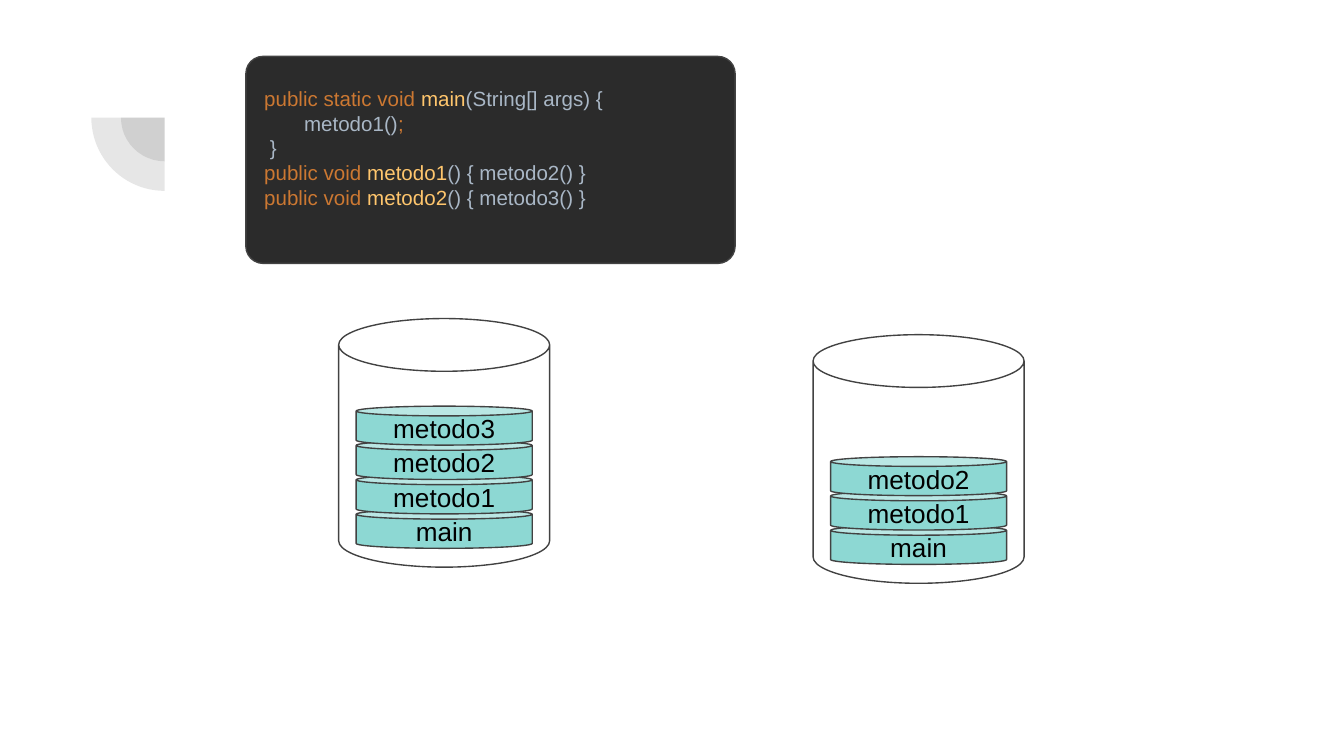
from lxml import etree
from pptx import Presentation
from pptx import util as u
from pptx.dml.color import RGBColor
from pptx.enum import shapes, text
from pptx.oxml.ns import qn

COLORS = {
    "line": "424242", "frame": "8DD8D3", "black": "000000", "editor": "2B2B2B",
    "keyword": "CC7832", "name": "FFC66D", "plain": "A9B7C6", "faint": "808080",
}
KINDS = shapes.MSO_SHAPE
WIDTH = u.Inches(10)
FRAME_TEXT = {"size": u.Pt(14), "name": "Arial"}
CODE_TEXT = {"size": u.Pt(11), "name": "Arial"}
CODE = [
    [("public static void ", "keyword"), ("main", "name"), ("(String[] args) {", "plain")],
    [("       metodo1()", "plain"), (";", "keyword")],
    [(" ", "faint"), ("}", "plain")],
    [("public void ", "keyword"), ("metodo1", "name"), ("() { metodo2() }", "plain")],
    [("public void ", "keyword"), ("metodo2", "name"), ("() { metodo3() }", "plain")],
]
STACKS = [
    ((2.52, 2.37, 1.57, 1.85), ["main", "metodo1", "metodo2", "metodo3"]),
    ((6.05, 2.49, 1.57, 1.85), ["main", "metodo1", "metodo2"]),
]


def color(key):
    """Return the named colour."""
    return RGBColor.from_string(COLORS[key])


def set_values(target, values):
    """Set each named attribute of the target."""
    for name, value in values.items():
        setattr(target, name, value)


def add_part(page, kind, box, adjustments, fill=None, outlined=True):
    """Add a preset shape with its fill and outline."""
    part = page.shapes.add_shape(kind, *(u.Inches(value) for value in box))
    part.shadow.inherit = False
    for index, value in enumerate(adjustments):
        part.adjustments[index] = value
    if fill:
        part.fill.solid()
        part.fill.fore_color.rgb = color(fill)
    else:
        part.fill.background()
    if outlined:
        part.line.color.rgb = color("line")
        part.line.width = u.Pt(0.75)
    else:
        part.line.fill.background()
    return part


def write_lines(part, lines, font, align, bottom=0.1):
    """Write lines of coloured spans into a shape."""
    frame = part.text_frame
    inset = u.Inches(0.1)
    set_values(frame, {
        "word_wrap": True, "vertical_anchor": text.MSO_ANCHOR.MIDDLE,
        "margin_left": inset, "margin_right": inset,
        "margin_top": inset, "margin_bottom": u.Inches(bottom),
    })
    for index, line in enumerate(lines):
        para = frame.add_paragraph() if index else frame.paragraphs[0]
        para.alignment = align
        for words, key in line:
            span = para.add_run()
            span.text = words
            set_values(span.font, font)
            span.font.color.rgb = color(key)


def add_corner(page, box):
    """Draw two translucent concentric quarter discs."""
    left, top, size = box
    for inset in (0.22, 0):
        side = size - 2 * inset
        disc = add_part(page, KINDS.PIE, (left + inset, top + inset, side, side),
                        (108, 162), "line", outlined=False)
        disc.rotation = 270
        tint = disc.fill._xPr.find(qn("a:solidFill"))[0]
        etree.SubElement(tint, qn("a:alpha"), val="13000")


def add_code(page, box):
    """Draw the code panel."""
    panel = add_part(page, KINDS.ROUNDED_RECTANGLE, box, (0.083,), "editor")
    write_lines(panel, CODE, CODE_TEXT, text.PP_ALIGN.LEFT, bottom=0.28)


def add_stack(page, box, calls):
    """Draw a call stack with its frames piled from the bottom up."""
    left, top, width, height = box
    add_part(page, KINDS.CAN, box, (0.25,))
    for level, call in enumerate(calls):
        frame_box = (left + 0.13, top + height - 0.43 - 0.256 * level, width - 0.26, 0.29)
        frame = add_part(page, KINDS.CAN, frame_box, (0.25,), "frame")
        write_lines(frame, [[(call, "black")]], FRAME_TEXT, text.PP_ALIGN.CENTER)


def main():
    """Build and save the deck."""
    deck = Presentation()
    set_values(deck, {"slide_width": WIDTH, "slide_height": WIDTH * 9 // 16})
    page = deck.slides.add_slide(deck.slide_layouts[6])
    add_corner(page, (0.68, 0.33, 1.09))
    add_code(page, (1.83, 0.42, 3.64, 1.54))
    for box, calls in STACKS:
        add_stack(page, box, calls)
    deck.save("out.pptx")


if __name__ == "__main__":
    main()
